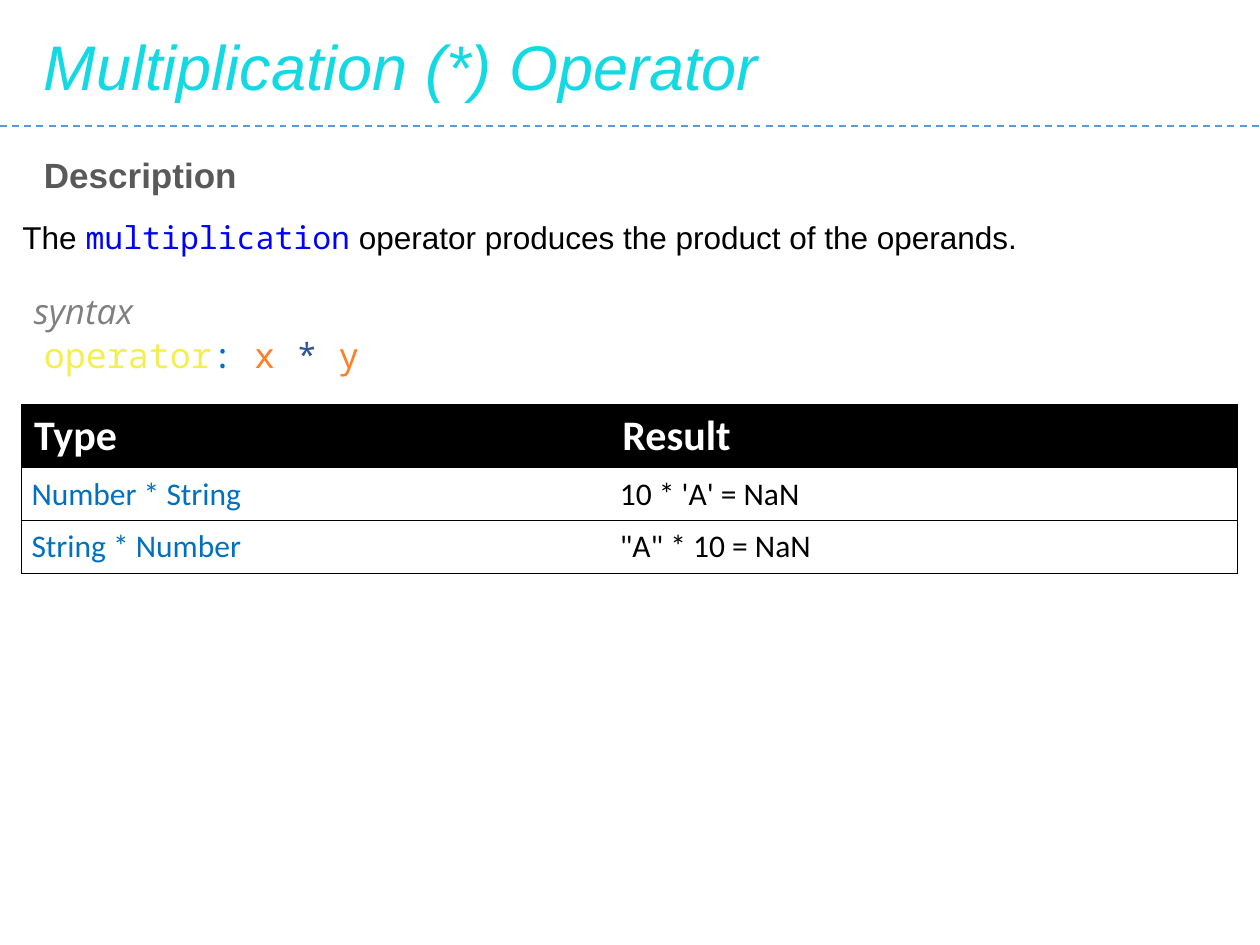
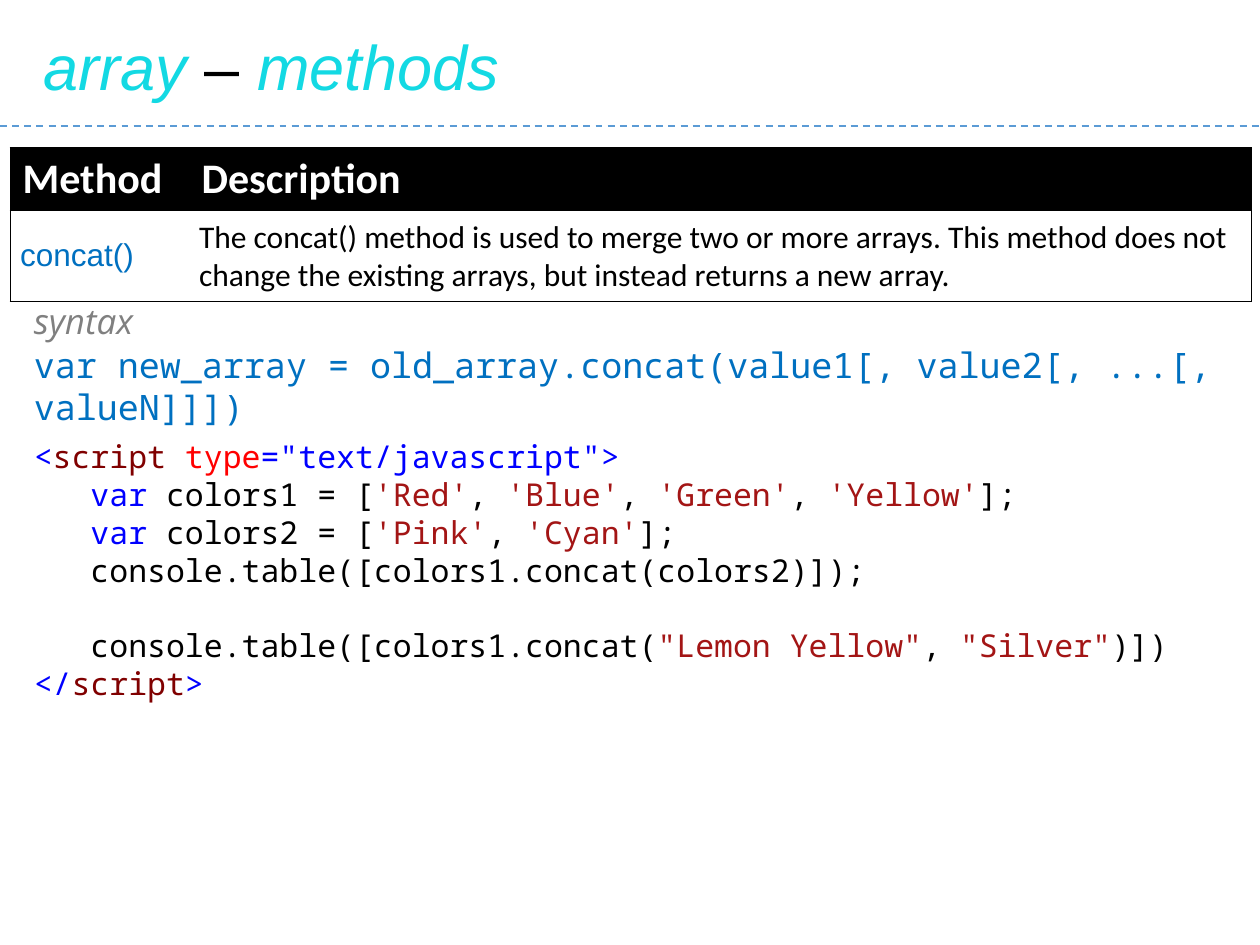
from lxml import etree
from pptx import Presentation
from pptx.dml.color import RGBColor
from pptx.enum.dml import MSO_LINE
from pptx.enum.shapes import MSO_CONNECTOR
from pptx.enum.text import MSO_ANCHOR, MSO_AUTO_SIZE
from pptx.oxml.ns import qn
from pptx.util import Inches, Pt

DASH = MSO_LINE.DASH
STRAIGHT = MSO_CONNECTOR.STRAIGHT
MIDDLE = MSO_ANCHOR.MIDDLE
GROW = MSO_AUTO_SIZE.SHAPE_TO_FIT_TEXT

BLACK = RGBColor(0x00, 0x00, 0x00)
WHITE = RGBColor(0xFF, 0xFF, 0xFF)
CYAN = RGBColor(0x13, 0xD9, 0xE3)
RULE_BLUE = RGBColor(0x5B, 0x9B, 0xD5)
DARK_GREY = RGBColor(0x59, 0x59, 0x59)
GREY = RGBColor(0x80, 0x80, 0x80)
BLUE = RGBColor(0x00, 0x70, 0xC0)
NAVY = RGBColor(0x2F, 0x55, 0x97)
YELLOW = RGBColor(0xF3, 0xEF, 0x53)
ORANGE = RGBColor(0xFF, 0x7F, 0x27)
KEYWORD = RGBColor(0x00, 0x00, 0xFF)
TAG = RGBColor(0x80, 0x00, 0x00)
ATTRIBUTE = RGBColor(0xFF, 0x00, 0x00)
STRING = RGBColor(0xA3, 0x15, 0x15)

SANS, TABLE_FONT = "Arial", "Calibri"
MONO, LABEL_FONT = "Noto Sans Mono", "Open Sans"

TITLE = {"name": SANS, "size": Pt(36), "italic": True}
HEADING = {"name": SANS, "size": Pt(20), "bold": True}
BODY = {"name": SANS, "size": Pt(18)}
LABEL = {"name": LABEL_FONT, "size": Pt(20), "italic": True}
SYNTAX = {"name": MONO, "size": Pt(20)}
CODE = {"name": MONO, "size": Pt(18)}
TABLE_HEAD = {"name": TABLE_FONT, "size": Pt(24), "bold": True}
TABLE_BODY = {"name": TABLE_FONT, "size": Pt(18), "bold": False}

ROW_HEIGHT = 0.41
BLANK_LINE = Pt(21.6)


class Deck:
    """Holds the presentation, its style and the current slide."""

    def __init__(self):
        self.file = Presentation()
        self.file.slide_width = Inches(10)
        self.file.slide_height = Inches(7.5)
        self.page = None

    def new_page(self, title):
        self.page = self.file.slides.add_slide(self.file.slide_layouts[6])
        self.text(0.25, 0.17, 9.42, 0.71, TITLE, [title])
        self.rule(1)

    def spans(self, para, style, spans):
        """Add spans of (text, colour) or (text, colour, changes to the style)."""
        for text, colour, *changes in spans:
            span = para.add_run()
            span.text = text
            look = style | (changes[0] if changes else {})
            for name, value in look.items():
                setattr(span.font, name, value)
            span.font.color.rgb = colour

    def text(self, left, top, width, height, style, lines):
        box = self.page.shapes.add_textbox(
            Inches(left), Inches(top), Inches(width), Inches(height))
        frame = box.text_frame
        frame.word_wrap = True
        frame.auto_size = GROW
        for index, spans in enumerate(lines):
            para = frame.add_paragraph() if index else frame.paragraphs[0]
            self.spans(para, style, spans)
        return frame

    def rule(self, top):
        line = self.page.shapes.add_connector(
            STRAIGHT, 0, Inches(top), self.file.slide_width, Inches(top))
        line.line.color.rgb = RULE_BLUE
        line.line.width = Pt(1)
        line.line.dash_style = DASH
        etree.SubElement(line._element.spPr, qn("a:effectLst"))

    def syntax_label(self, top):
        self.text(0.17, top, 9.67, 0.44, LABEL, [[("syntax", GREY)]])

    def table(self, left, top, widths, heads, rows):
        cells = [[(head, WHITE) for head in heads]] + rows
        grid = self.page.shapes.add_table(
            len(cells), len(widths), Inches(left), Inches(top),
            Inches(sum(widths)), Inches(ROW_HEIGHT * len(cells))).table
        for column, width in zip(grid.columns, widths):
            column.width = Inches(width)
        for r, row in enumerate(cells):
            grid.rows[r].height = Inches(ROW_HEIGHT)
            for c, span in enumerate(row):
                cell = grid.cell(r, c)
                style = TABLE_BODY if r else TABLE_HEAD
                self.spans(cell.text_frame.paragraphs[0], style, [span])
                if r:
                    cell.fill.background()
                    cell.vertical_anchor = MIDDLE
                    cell.margin_left = cell.margin_right = Inches(0.08)
                    cell.margin_top = cell.margin_bottom = Inches(0.06)
                else:
                    cell.fill.solid()
                    cell.fill.fore_color.rgb = BLACK
                self.borders(cell, c == 0, c == len(widths) - 1)

    def borders(self, cell, first, last):
        """Draw lines above and below, and at the outer sides only."""
        sides = {"a:lnL": first, "a:lnR": last, "a:lnT": True, "a:lnB": True}
        properties = cell._tc.get_or_add_tcPr()
        for index, (side, shown) in enumerate(sides.items()):
            line = etree.Element(qn(side), w=str(Pt(0.5)))
            if shown:
                fill = etree.SubElement(line, qn("a:solidFill"))
                etree.SubElement(fill, qn("a:srgbClr"), val=str(BLACK))
            else:
                etree.SubElement(line, qn("a:noFill"))
            properties.insert(index, line)


def colour_list(name, colours):
    """Return the code line that declares an array of colour names."""
    line = [("   ", BLACK), ("var", KEYWORD), (f" {name} = [", BLACK)]
    for index, colour in enumerate(colours):
        if index:
            line.append((", ", BLACK))
        line.append((f"'{colour}'", STRING))
    return line + [("];", BLACK)]


def multiplication_page(deck):
    deck.new_page([("Multiplication (*) Operator", CYAN)])
    # Description
    deck.text(0.25, 1.17, 9.42, 0.44, HEADING, [[("Description", DARK_GREY)]])
    deck.text(0.08, 1.68, 9.92, 0.4, BODY, [[
        ("The ", BLACK), ("multiplication", KEYWORD, {"name": MONO}),
        (" operator produces the product of the operands.", BLACK)]])
    # Syntax
    deck.syntax_label(2.25)
    deck.text(0.25, 2.6, 9.5, 0.44, SYNTAX, [[
        ("operator", YELLOW), (": ", BLUE), ("x ", ORANGE),
        ("* ", NAVY), ("y", ORANGE)]])
    # Results by type
    deck.table(0.17, 3.21, [4.67, 4.98], ["Type", "Result"], [
        [("Number * String", BLUE), ("10 * 'A' = NaN", BLACK)],
        [("String * Number", BLUE), ('"A" * 10 = NaN', BLACK)]])


def array_page(deck):
    deck.new_page([("array", CYAN), (" – ", BLACK, {"italic": False}),
                   ("methods", CYAN)])
    # Method table
    deck.table(0.08, 1.17, [1.42, 8.43], ["Method", "Description"], [[
        ("concat()", BLUE, {"name": SANS}),
        ("The concat() method is used to merge two or more arrays. "
         "This method does not change the existing arrays, "
         "but instead returns a new array.", BLACK)]])
    # Syntax
    deck.text(0.17, 2.68, 9.67, 0.77, SYNTAX, [[
        ("var new_array = old_array.concat(value1[, value2[, ...[, valueN]]])",
         BLUE)]])
    deck.syntax_label(2.33)
    # Example script
    script = deck.text(0.17, 3.42, 9.67, 2.22, CODE, [
        [("<", KEYWORD), ("script ", TAG), ("type", ATTRIBUTE),
         ('="text/javascript">', KEYWORD)],
        colour_list("colors1", ["Red", "Blue", "Green", "Yellow"]),
        colour_list("colors2", ["Pink", "Cyan"]),
        [("   console.table([colors1.concat(colors2)]);", BLACK)],
        [("   console.table([colors1.concat(", BLACK),
         ('"Lemon Yellow"', STRING), (", ", BLACK), ('"Silver"', STRING),
         (")])", BLACK)],
        [("</", KEYWORD), ("script", TAG), (">", KEYWORD)]])
    script.paragraphs[4].space_before = BLANK_LINE


def main():
    deck = Deck()
    multiplication_page(deck)
    array_page(deck)
    deck.file.save("out.pptx")


if __name__ == "__main__":
    main()
